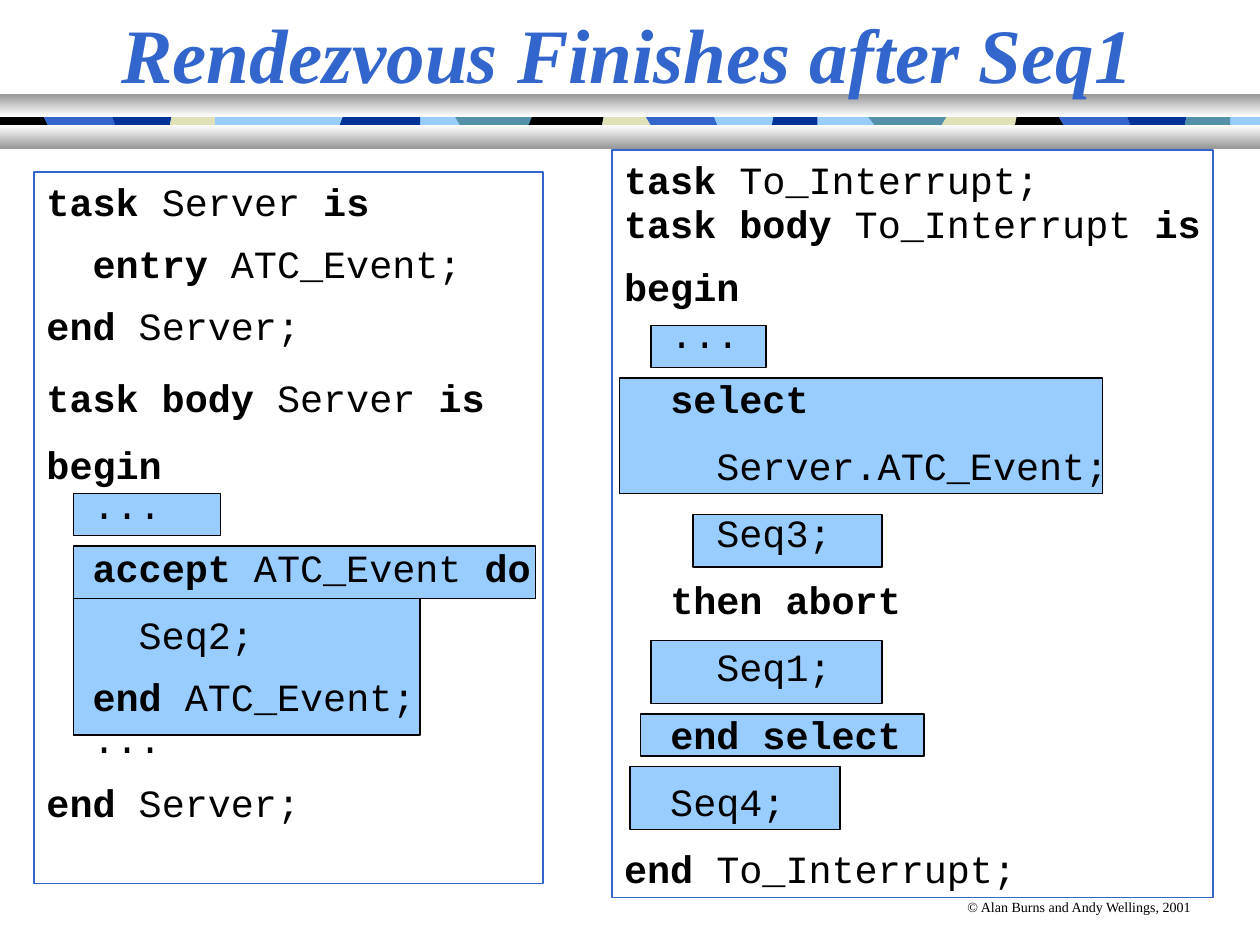
from pptx import Presentation
from pptx.dml.color import RGBColor
from pptx.enum.shapes import MSO_SHAPE
from pptx.enum.text import MSO_ANCHOR, MSO_AUTO_SIZE, PP_ALIGN
from pptx.util import Pt

BLACK = RGBColor(0x00, 0x00, 0x00)
WHITE = RGBColor(0xFF, 0xFF, 0xFF)
GREY = RGBColor(0x98, 0x98, 0x98)
BLUE = RGBColor(0x33, 0x66, 0xCC)
NAVY = RGBColor(0x00, 0x33, 0x99)
LIGHT = RGBColor(0x99, 0xCC, 0xFF)
TEAL = RGBColor(0x54, 0x90, 0xA8)
CREAM = RGBColor(0xE1, 0xE1, 0xB7)

presentation = Presentation()
presentation.slide_width = Pt(720)
presentation.slide_height = Pt(540)
slide = presentation.slides.add_slide(presentation.slide_layouts[5])


def add_rectangle(left, top, width, height):
    shape = slide.shapes.add_shape(
        MSO_SHAPE.RECTANGLE, Pt(left), Pt(top), Pt(width), Pt(height))
    shape.shadow.inherit = False
    return shape


def add_code(left, top, width, height, lines):
    """Add a framed listing; asterisks switch bold on and off."""
    shape = slide.shapes.add_textbox(Pt(left), Pt(top), Pt(width), Pt(height))
    shape.line.color.rgb = BLUE
    shape.line.width = Pt(1)
    text_frame = shape.text_frame
    text_frame.word_wrap = True
    text_frame.auto_size = MSO_AUTO_SIZE.NONE
    text_frame.margin_right = 0
    for index, (text, before, after, spacing) in enumerate(lines):
        paragraph = text_frame.paragraphs[0] if index == 0 else text_frame.add_paragraph()
        paragraph.space_before = Pt(before)
        paragraph.space_after = Pt(after)
        paragraph.line_spacing = spacing
        for part, piece in enumerate(text.split("*")):
            if piece:
                run = paragraph.add_run()
                run.text = piece
                run.font.name = "Courier New"
                run.font.size = Pt(22)
                run.font.bold = part % 2 == 1
                run.font.color.rgb = BLACK


# Coloured strip: upper left x, lower left x and colour of each piece;
# the first piece is the base, which shows where the colour is None
STRIP_TOP, SLANT_TOP, SLANT_BOTTOM, STRIP_BOTTOM = 61.2, 66.7, 71.7, 81.5
strip = [
    (0, 0, BLACK), (25, 27.5, BLUE), (64, 66, NAVY), (98, 97, CREAM),
    (123, 123, LIGHT), (196, 194, NAVY), (240, 240, None), (260, 263, TEAL),
    (304, 302, BLACK), (345, 344, CREAM), (369, 372, BLUE), (408, 410, LIGHT),
    (442, 441, NAVY), (467, 467, None), (496, 500, TEAL), (541, 538, CREAM),
    (581, 580, BLACK), (605, 608, BLUE), (644, 646, NAVY), (678, 677, TEAL),
    (703, 703, None), (720, 720, None),
]
pieces = [((0, 0, LIGHT), strip[-1])] + list(zip(strip, strip[1:]))
for (upper_left, lower_left, color), (upper_right, lower_right, _) in pieces:
    if color is None:
        continue
    builder = slide.shapes.build_freeform(Pt(upper_left), Pt(STRIP_TOP))
    builder.add_line_segments([(Pt(x), Pt(y)) for x, y in [
        (upper_right, STRIP_TOP), (upper_right, SLANT_TOP),
        (lower_right, SLANT_BOTTOM), (lower_right, STRIP_BOTTOM),
        (lower_left, STRIP_BOTTOM), (lower_left, SLANT_BOTTOM),
        (upper_left, SLANT_TOP)]])
    piece = builder.convert_to_shape()
    piece.shadow.inherit = False
    piece.fill.solid()
    piece.fill.fore_color.rgb = color
    piece.line.fill.background()

# Metallic bars above and below the strip
for top, colors in [(53.7, (GREY, WHITE)), (71.7, (WHITE, GREY))]:
    bar = add_rectangle(0, top, 720, 13)
    bar.line.fill.background()
    bar.fill.gradient()
    bar.fill.gradient_angle = 270
    for stop, color in zip(bar.fill.gradient_stops, colors):
        stop.color.rgb = color

# Copyright line
copyright_box = slide.shapes.add_textbox(Pt(545.76), Pt(509.76), Pt(144), Pt(17.28))
copyright_box.text_frame.word_wrap = False
copyright_box.text_frame.text = "© Alan Burns and Andy Wellings, 2001"
font = copyright_box.text_frame.paragraphs[0].runs[0].font
font.name = "Times New Roman"
font.size = Pt(8)
font.color.rgb = BLACK

# Highlights behind the executed statements
for bounds in [
    (366, 408, 162, 24), (396, 294, 108, 30), (42, 312, 264, 30),
    (354, 216, 276, 66), (372, 186, 66, 24), (42, 282, 84, 24),
    (42, 342, 198, 78), (372, 366, 132, 36), (360, 438, 120, 36),
]:
    highlight = add_rectangle(*bounds)
    highlight.fill.solid()
    highlight.fill.fore_color.rgb = LIGHT
    highlight.line.color.rgb = BLACK
    highlight.line.width = Pt(1)

# Title, brought in front of the bars
title = slide.shapes.title
slide.shapes.element.append(title.element)
title.left, title.top, title.width, title.height = Pt(0), Pt(0), Pt(717.6), Pt(60)
title.text_frame.text = "Rendezvous Finishes after Seq1"
title.text_frame.auto_size = MSO_AUTO_SIZE.NONE
title.text_frame.vertical_anchor = MSO_ANCHOR.MIDDLE
paragraph = title.text_frame.paragraphs[0]
paragraph.alignment = PP_ALIGN.CENTER
font = paragraph.runs[0].font
font.name = "Times New Roman"
font.size = Pt(44)
font.bold = font.italic = True
font.color.rgb = BLUE

# Listings: text, space before, space after, line spacing
add_code(19.5, 98.1, 290.88, 406.8, [
    ("*task* Server *is*", 0, 3, 1.0),
    ("  *entry* ATC_Event;", 6, 3, 1.0),
    ("*end* Server;", 6, 6, 1.0),
    ("*task body* Server *is*", 9, 3, 1.0),
    ("*begin*", 9, 3, 1.0),
    ("  ...", 9, 3, 0.3),
    ("  *accept* ATC_Event *do*", 9, 3, 1.0),
    ("    Seq2;", 9, 3, 1.0),
    ("  *end *ATC_Event;", 6, 3, 1.0),
    ("  ...", 6, 3, 0.5),
    ("*end* Server;", 9, 3, 1.0),
])
add_code(349.6, 85.9, 343.44, 427, [
    ("*task* To_Interrupt;", 0, 3, 1.0),
    ("*task body* To_Interrupt *is*", 9, 3, 0.4),
    ("*begin*", 9, 3, 1.0),
    ("  ...", 9, 3, 0.5),
    ("  *select*", 9, 3, 1.0),
    ("    Server.ATC_Event;", 9, 3, 1.0),
    ("    Seq3;", 9, 3, 1.0),
    ("  *then abort*", 9, 3, 1.0),
    ("    Seq1;", 9, 3, 1.0),
    ("  *end select*", 9, 3, 1.0),
    ("  Seq4;", 9, 3, 1.0),
    ("*end *To_Interrupt;", 9, 3, 1.0),
])

presentation.save("out.pptx")
